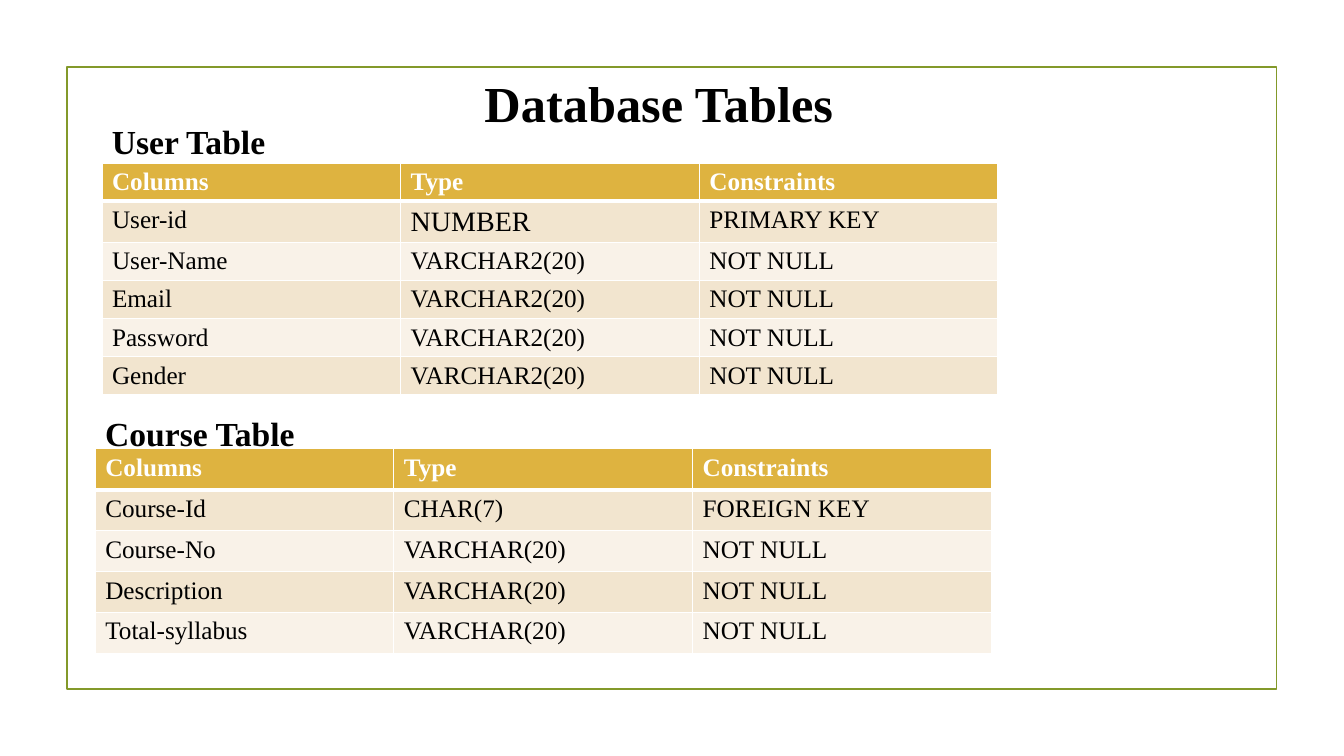
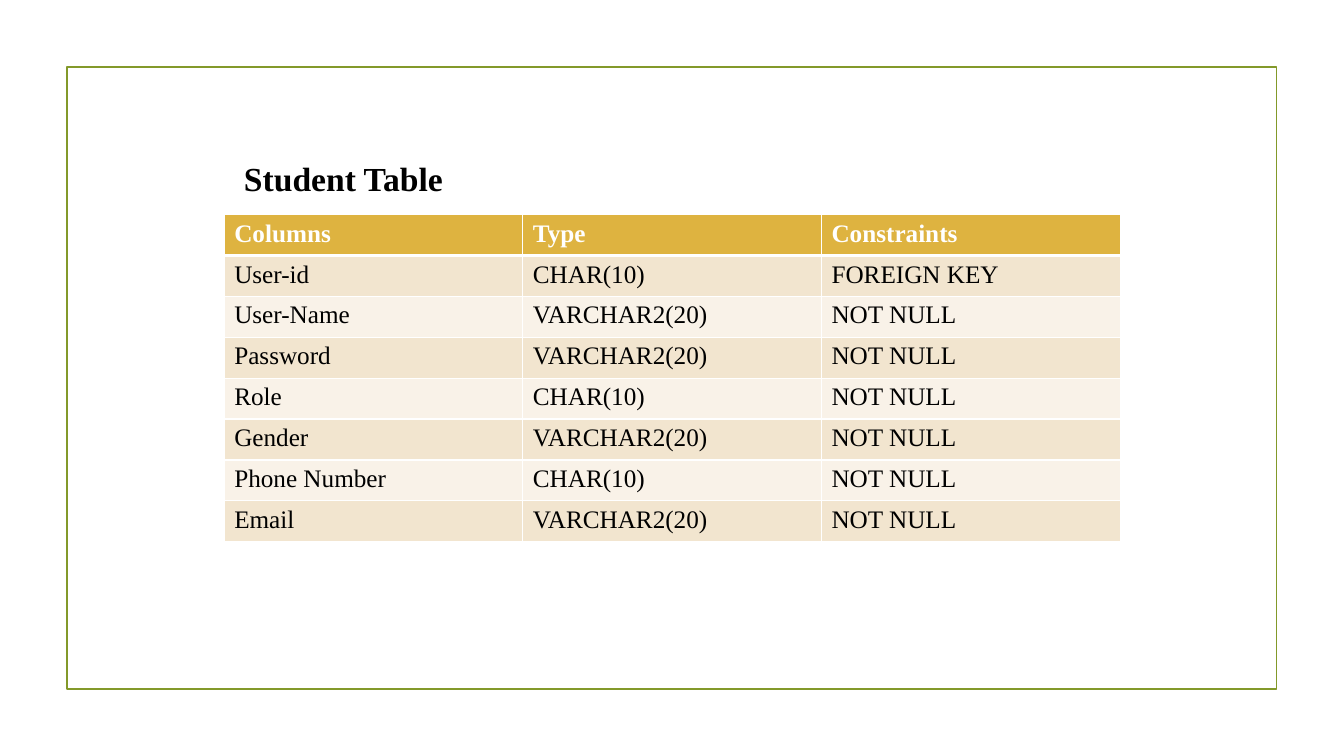
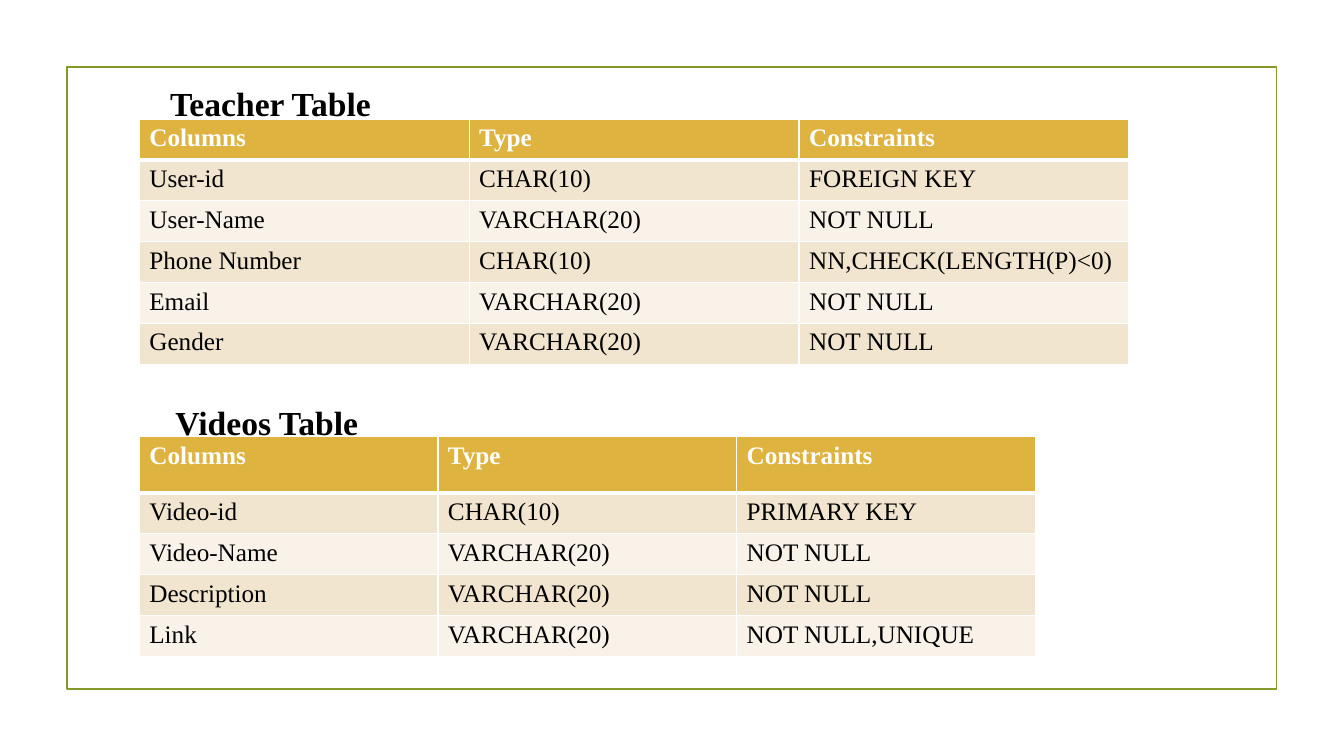
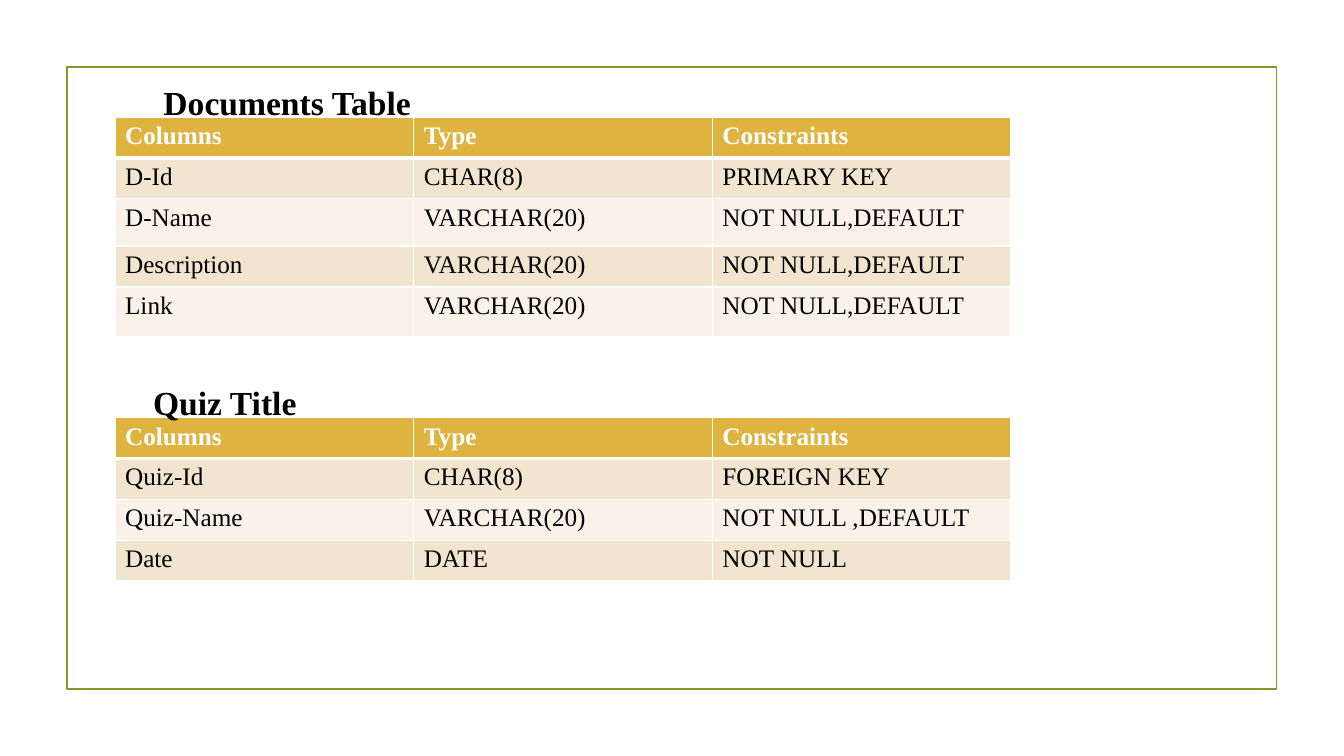
from dataclasses import dataclass, field

from lxml.etree import SubElement
from pptx import Presentation
from pptx.dml.color import RGBColor
from pptx.enum.shapes import MSO_SHAPE
from pptx.enum.text import MSO_AUTO_SIZE
from pptx.oxml.ns import qn
from pptx.util import Cm, Pt


@dataclass(frozen=True)
class Theme:
    font: str = "Times New Roman"
    ink: str = "000000"
    white: str = "FFFFFF"
    frame: str = "83992A"
    head: str = "DEB340"
    bands: tuple = ("F9F2E8", "F2E5CF")
    title: int = 36
    label: int = 24
    large: int = 20
    body: int = 18


@dataclass
class Grid:
    label: str
    box: tuple    # left, top, width of the table, in cm
    tag: tuple    # label offset from the table, and label width
    rows: list
    high: float = 1.03
    tall: dict = field(default_factory=dict)     # row heights that differ
    large: tuple = ()                            # cells set in larger type


THEME = Theme()
HEAD = ("Columns", "Type", "Constraints")


def style(para, size, color=THEME.ink, bold=False):
    font = para.font
    font.name, font.size, font.bold = THEME.font, Pt(size), bold
    font.color.rgb = RGBColor.from_string(color)


def add_text(slide, box, text, size):
    shape = slide.shapes.add_textbox(*map(Cm, box))
    frame = shape.text_frame
    frame.word_wrap = False
    frame.auto_size = MSO_AUTO_SIZE.SHAPE_TO_FIT_TEXT
    frame.text = text
    style(frame.paragraphs[0], size, bold=True)


def add_frame(slide, box):
    shape = slide.shapes.add_shape(MSO_SHAPE.RECTANGLE, *map(Cm, box))
    shape.shadow.inherit = False
    shape.fill.background()
    shape.line.color.rgb = RGBColor.from_string(THEME.frame)
    shape.line.width = Pt(1.25)


def edge(cell, row):
    """Draw white cell borders, heavier under the header."""
    props = cell._tc.get_or_add_tcPr()
    wide = {"lnT": 3 if row == 1 else 1, "lnB": 3 if row == 0 else 1}
    for i, side in enumerate(("lnL", "lnR", "lnT", "lnB")):
        line = SubElement(props, qn("a:" + side), w=str(Pt(wide.get(side, 1))))
        fill = SubElement(line, qn("a:solidFill"))
        SubElement(fill, qn("a:srgbClr"), val=THEME.white)
        props.insert(i, line)


def add_grid(slide, grid):
    left, top, width = grid.box
    rows = [HEAD, *grid.rows]
    highs = [grid.tall.get(r, grid.high) for r in range(len(rows))]

    # Table
    table = slide.shapes.add_table(
        len(rows), len(HEAD), Cm(left), Cm(top), Cm(width), Cm(sum(highs))).table
    table.horz_banding = False
    for r, row in enumerate(rows):
        table.rows[r].height = Cm(highs[r])
        for c, text in enumerate(row):
            cell = table.cell(r, c)
            cell.text = text
            size = THEME.large if (r, c) in grid.large else THEME.body
            style(cell.text_frame.paragraphs[0], size,
                  THEME.ink if r else THEME.white, r == 0)
            cell.fill.solid()
            color = THEME.bands[r % 2] if r else THEME.head
            cell.fill.fore_color.rgb = RGBColor.from_string(color)
            edge(cell, r)

    # Label above the table
    dx, dy, wide = grid.tag
    add_text(slide, (left + dx, top + dy, wide, 1.27), grid.label, THEME.label)


def add_slide(deck, grids, title=None):
    slide = deck.slides.add_slide(deck.slide_layouts[6])
    add_frame(slide, (1.69, 1.69, 30.48, 15.67))
    for grid in grids:
        add_grid(slide, grid)
    if title:
        add_text(slide, (11.96, 1.7, 9.45, 1.8), title, THEME.title)


USER = Grid("User Table", (2.57, 4.11, 22.58), (0, -1.19, 4.45), [
    ("User-id", "NUMBER", "PRIMARY KEY"),
    ("User-Name", "VARCHAR2(20)", "NOT NULL"),
    ("Email", "VARCHAR2(20)", "NOT NULL"),
    ("Password", "VARCHAR2(20)", "NOT NULL"),
    ("Gender", "VARCHAR2(20)", "NOT NULL"),
], high=0.96, tall={0: 0.93, 1: 1.03}, large=((1, 1),))

COURSE = Grid("Course Table", (2.4, 11.31, 22.58), (0, -1.02, 5.28), [
    ("Course-Id", "CHAR(7)", "FOREIGN KEY"),
    ("Course-No", "VARCHAR(20)", "NOT NULL"),
    ("Description", "VARCHAR(20)", "NOT NULL"),
    ("Total-syllabus", "VARCHAR(20)", "NOT NULL"),
])

STUDENT = Grid("Student Table", (5.65, 5.41, 22.58), (0.25, -1.55, 5.65), [
    ("User-id", "CHAR(10)", "FOREIGN KEY"),
    ("User-Name", "VARCHAR2(20)", "NOT NULL"),
    ("Password", "VARCHAR2(20)", "NOT NULL"),
    ("Role", "CHAR(10)", "NOT NULL"),
    ("Gender", "VARCHAR2(20)", "NOT NULL"),
    ("Phone Number", "CHAR(10)", "NOT NULL"),
    ("Email", "VARCHAR2(20)", "NOT NULL"),
])

TEACHER = Grid("Teacher Table", (3.51, 3, 24.94), (0.53, -1.04, 5.64), [
    ("User-id", "CHAR(10)", "FOREIGN KEY"),
    ("User-Name", "VARCHAR(20)", "NOT NULL"),
    ("Phone Number", "CHAR(10)", "NN,CHECK(LENGTH(P)<0)"),
    ("Email", "VARCHAR(20)", "NOT NULL"),
    ("Gender", "VARCHAR(20)", "NOT NULL"),
])

VIDEOS = Grid("Videos Table", (3.51, 11, 22.58), (0.66, -0.99, 5.21), [
    ("Video-id", "CHAR(10)", "PRIMARY KEY"),
    ("Video-Name", "VARCHAR(20)", "NOT NULL"),
    ("Description", "VARCHAR(20)", "NOT NULL"),
    ("Link", "VARCHAR(20)", "NOT NULL,UNIQUE"),
], tall={0: 1.42})

PAPERS = Grid("Documents Table", (2.9, 2.95, 22.58), (0.97, -1.02, 6.93), [
    ("D-Id", "CHAR(8)", "PRIMARY KEY"),
    ("D-Name", "VARCHAR(20)", "NOT NULL,DEFAULT"),
    ("Description", "VARCHAR(20)", "NOT NULL,DEFAULT"),
    ("Link", "VARCHAR(20)", "NOT NULL,DEFAULT"),
], tall={2: 1.19, 4: 1.24})

QUIZ = Grid("Quiz Title", (2.9, 10.52, 22.58), (0.71, -1.02, 4.24), [
    ("Quiz-Id", "CHAR(8)", "FOREIGN KEY"),
    ("Quiz-Name", "VARCHAR(20)", "NOT NULL ,DEFAULT"),
    ("Date", "DATE", "NOT NULL"),
])


def main():
    deck = Presentation()
    deck.slide_width, deck.slide_height = Cm(33.87), Cm(19.05)
    add_slide(deck, [USER, COURSE], "Database Tables")
    add_slide(deck, [STUDENT])
    add_slide(deck, [TEACHER, VIDEOS])
    add_slide(deck, [PAPERS, QUIZ])
    deck.save("out.pptx")


if __name__ == "__main__":
    main()
